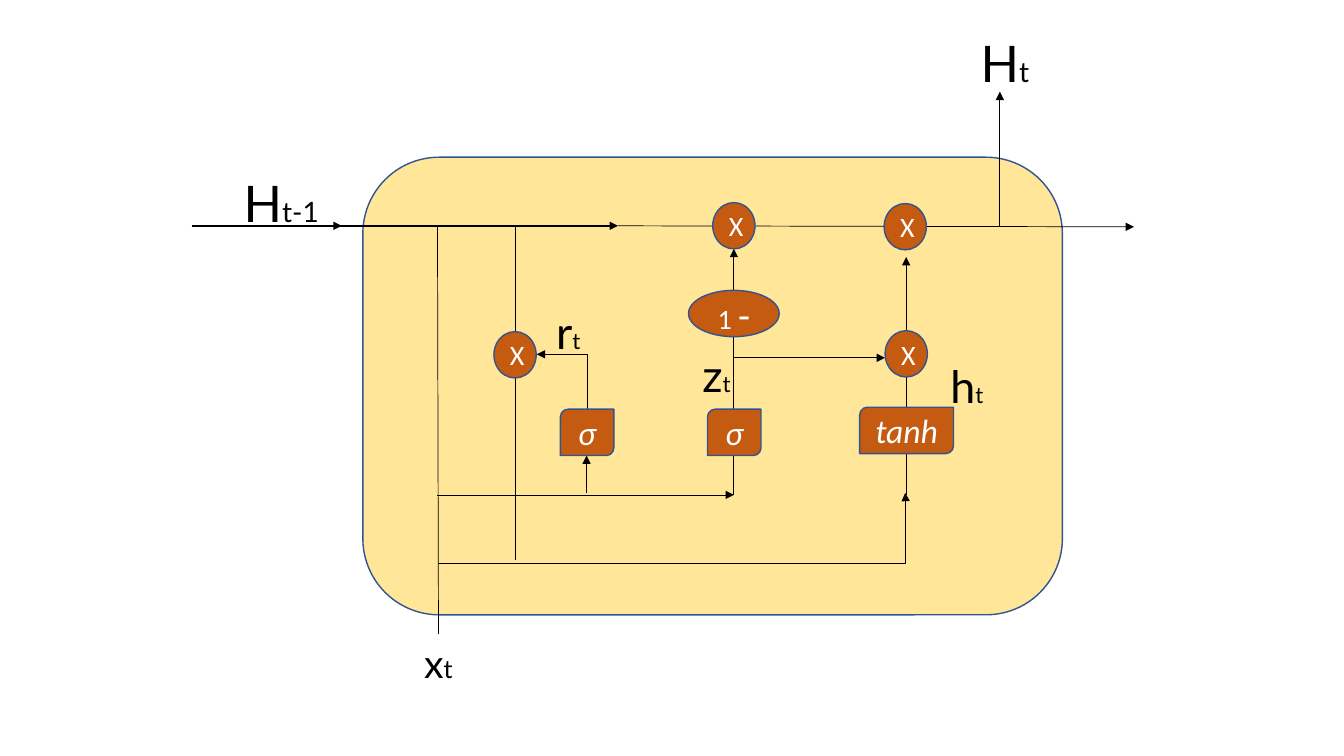
from lxml.etree import SubElement
from pptx import Presentation
from pptx.dml.color import RGBColor
from pptx.enum.shapes import MSO_CONNECTOR, MSO_SHAPE
from pptx.enum.text import MSO_ANCHOR, MSO_AUTO_SIZE, PP_ALIGN
from pptx.oxml.ns import qn
from pptx.util import Pt

COLORS = {"cell": "FFE699", "gate": "C55A11", "outline": "325491",
          "ink": "000000", "gate text": "FFFFFF"}
THIN, THICK = 0.5, 1.5
NODE_HEIGHT = 33.1

CELL = (259.2, 112.3, 499.7, 326.9)

# Begin x, begin y, end x, end y, width, has arrowhead
LINES = [
    (136.8, 161.3, 244.1, 161.3, THICK, True),   # previous state
    (183.6, 161.3, 441.4, 161.3, THICK, True),
    (441.4, 161.3, 810, 162, THIN, True),        # new state
    (714.2, 162, 714.2, 65.5, THIN, True),
    (312.5, 161.3, 313.2, 452.9, THIN, False),   # input
    (367.9, 161.3, 367.9, 400.3, THIN, False),
    (312.5, 353.5, 524.2, 353.5, THIN, True),
    (419, 352.1, 419, 325.4, THIN, True),        # into reset gate
    (524.2, 353.5, 524.2, 177.8, THIN, True),    # update gate
    (524.2, 255.6, 632.2, 255.6, THIN, True),
    (647.3, 353.5, 647.3, 183.6, THIN, True),    # candidate state
]

# Begin x, begin y, end x, end y, preset, attributes of the transform, bend
ELBOWS = [
    (381.6, 290.9, 421.2, 254.9, "bentConnector2", {"rot": "16200000"}, None),
    (313.2, 402.5, 646.6, 352.1, "bentConnector3", {}, 100100),
]

GATE, CIRCLE = MSO_SHAPE.ROUND_2_DIAG_RECTANGLE, MSO_SHAPE.OVAL
# Preset, centre x, top, width, runs of (text, size)
NODES = [
    (GATE, 419.4, 292.3, 38.2, [("σ", 24)]),
    (GATE, 524.5, 292.3, 38.2, [("σ", 24)]),
    (GATE, 647.6, 290.9, 67, [("tanh", 24)]),
    (CIRCLE, 367.9, 236.9, 30.2, [("X", 20)]),
    (CIRCLE, 524.2, 144.7, 30.2, [("X", 20)]),
    (CIRCLE, 646.6, 145.4, 30.2, [("X", 20)]),
    (CIRCLE, 647.3, 236.2, 30.2, [("X", 20)]),
    (CIRCLE, 524.2, 207.4, 64.8, [("1 ", 20), ("-", 28)]),
]

# Left, top, width, height, wraps, runs of (text, size)
LABELS = [
    (693.4, 19.4, 104.4, 51.1, True, [("H", 36), ("t", 20)]),
    (167, 119.5, 104.4, 51.1, True, [("H", 36), ("t-1", 20)]),
    (295.9, 452.9, 35.3, 41, False, [("x", 28), ("t", 18)]),
    (390.2, 213.8, 42.5, 46.1, True, [("r", 32), ("t", 16)]),
    (494.6, 244.8, 42.5, 46.1, True, [("z", 32), ("t", 16)]),
    (671.8, 252.7, 42.5, 46.1, True, [("h", 32), ("t", 16)]),
]


def color(name):
    """Return the named colour."""
    return RGBColor.from_string(COLORS[name])


def set_all(target, values):
    """Set every attribute in a dict of format values."""
    for name, value in values.items():
        setattr(target, name, value)


def write_runs(paragraph, runs, color_name, formats):
    """Write runs of different sizes in one paragraph."""
    for text, size in runs:
        run = paragraph.add_run()
        run.text = text
        set_all(run.font, {"size": Pt(size), **formats})
        run.font.color.rgb = color(color_name)


def add_block(slide, preset, box, fill):
    """Add an outlined, filled shape."""
    shape = slide.shapes.add_shape(preset, *map(Pt, box))
    shape.shadow.inherit = False
    shape.fill.solid()
    shape.fill.fore_color.rgb = color(fill)
    shape.line.color.rgb = color("outline")
    shape.line.width = Pt(1)
    return shape


def add_line(slide, kind, ends, width, arrow):
    """Add a connector without shadow, with an arrowhead if asked."""
    connector = slide.shapes.add_connector(kind, *map(Pt, ends))
    connector.line.color.rgb = color("ink")
    connector.line.width = Pt(width)
    properties = connector._element.spPr
    if arrow:
        SubElement(properties.find(qn("a:ln")), qn("a:tailEnd"), type="triangle")
    SubElement(properties, qn("a:effectLst"))
    return connector


def add_elbow(slide, ends, preset, transform, bend):
    """Add a bent arrow with its own preset, rotation and bend."""
    connector = add_line(slide, MSO_CONNECTOR.ELBOW, ends, THIN, True)
    properties = connector._element.spPr
    geometry = properties.find(qn("a:prstGeom"))
    geometry.set("prst", preset)
    for name, value in transform.items():
        properties.find(qn("a:xfrm")).set(name, value)
    if bend:
        SubElement(geometry.find(qn("a:avLst")), qn("a:gd"),
                   name="adj1", fmla=f"val {bend}")


def add_node(slide, preset, center, top, width, runs):
    """Add a gate or an operator with centred text."""
    box = (center - width / 2, top, width, NODE_HEIGHT)
    frame = add_block(slide, preset, box, "gate").text_frame
    set_all(frame, {"word_wrap": True, "vertical_anchor": MSO_ANCHOR.MIDDLE})
    paragraph = frame.paragraphs[0]
    paragraph.alignment = PP_ALIGN.CENTER
    write_runs(paragraph, runs, "gate text",
               {"name": "Calibri", "italic": preset == GATE})


def add_label(slide, box, wraps, runs):
    """Add a variable name with its small index."""
    frame = slide.shapes.add_textbox(*map(Pt, box)).text_frame
    set_all(frame, {"word_wrap": wraps, "auto_size": MSO_AUTO_SIZE.SHAPE_TO_FIT_TEXT})
    write_runs(frame.paragraphs[0], runs, "ink", {"name": "Lato"})


presentation = Presentation()
set_all(presentation, {"slide_width": Pt(960), "slide_height": Pt(540)})
slide = presentation.slides.add_slide(presentation.slide_layouts[6])

add_block(slide, MSO_SHAPE.ROUNDED_RECTANGLE, CELL, "cell")
for *ends, width, arrow in LINES:
    add_line(slide, MSO_CONNECTOR.STRAIGHT, ends, width, arrow)
for *ends, preset, transform, bend in ELBOWS:
    add_elbow(slide, ends, preset, transform, bend)
for node in NODES:
    add_node(slide, *node)
for *box, wraps, runs in LABELS:
    add_label(slide, box, wraps, runs)

presentation.save("out.pptx")
